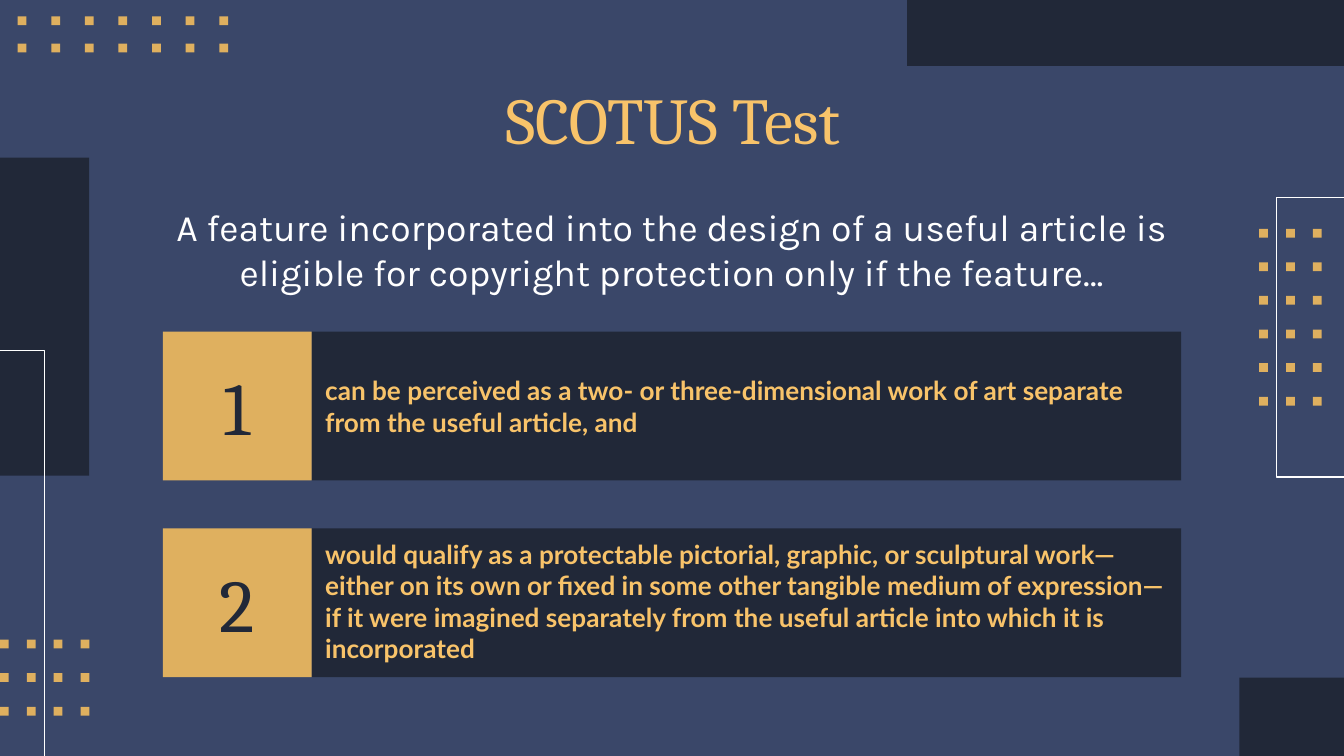
from itertools import product

from pptx import Presentation
from pptx.dml.color import RGBColor
from pptx.enum.shapes import MSO_SHAPE
from pptx.enum.text import MSO_ANCHOR, MSO_AUTO_SIZE, PP_ALIGN
from pptx.oxml import parse_xml
from pptx.oxml.ns import nsdecls
from pptx.util import Pt

BLUE = RGBColor(0x3A, 0x47, 0x69)
NAVY = RGBColor(0x21, 0x28, 0x38)
GOLD = RGBColor(0xDF, 0xB0, 0x5F)
YELLOW = RGBColor(0xF8, 0xC3, 0x6A)
WHITE = RGBColor(0xFF, 0xFF, 0xFF)

TITLE_FORMAT = {"name": "Cambria", "size": Pt(35), "bold": False}
NUMBER_FORMAT = {"name": "Cambria", "size": Pt(40), "bold": False}
CONDITION_FORMAT = {"name": "Lato", "size": Pt(14), "bold": True}
INTRO_FORMAT = {"name": "Karla", "size": Pt(20), "bold": False}


def add_rectangle(left, top, width, height, color):
    shape = slide.shapes.add_shape(
        MSO_SHAPE.RECTANGLE, Pt(left), Pt(top), Pt(width), Pt(height))
    shape.shadow.inherit = False
    shape.fill.solid()
    shape.fill.fore_color.rgb = color
    shape.line.fill.background()
    return shape


def write_text(shape, text, font_format, color, alignment, anchor, inset=7.2):
    frame = shape.text_frame
    frame.text = text
    frame.word_wrap = True
    frame.auto_size = MSO_AUTO_SIZE.NONE
    frame.vertical_anchor = anchor
    frame.margin_left = frame.margin_right = Pt(7.2)
    frame.margin_top = frame.margin_bottom = Pt(inset)
    paragraph = frame.paragraphs[0]
    paragraph.alignment = alignment
    paragraph.space_before = Pt(0)
    for name, value in font_format.items():
        setattr(paragraph.runs[0].font, name, value)
    paragraph.runs[0].font.color.rgb = color
    return paragraph


presentation = Presentation()
presentation.slide_width, presentation.slide_height = Pt(720), Pt(405)
slide = presentation.slides.add_slide(presentation.slide_layouts[3])
slide.background.fill.solid()
slide.background.fill.fore_color.rgb = BLUE

# Dark corner and side blocks
for block in [(664, 363, 56, 42), (486, 0, 234, 35.3), (0, 84.5, 47.7, 170.3)]:
    add_rectangle(*block, NAVY)

# Thin open frames at both edges
for start, *corners in [
    [(720, 105.7), (683.8, 105.7), (683.8, 255.5), (720, 255.5)],
    [(23.8, 405), (23.8, 187.7), (0, 187.7)],
]:
    builder = slide.shapes.build_freeform(Pt(start[0]), Pt(start[1]))
    builder.add_line_segments([(Pt(x), Pt(y)) for x, y in corners], close=False)
    frame_line = builder.convert_to_shape()
    frame_line.shadow.inherit = False
    frame_line.fill.background()
    frame_line.line.color.rgb = WHITE
    frame_line.line.width = Pt(0.75)

# Dot grids: left, top, columns, rows, column step, row step
for left, top, columns, rows, step_x, step_y in [
    (674.6, 122.6, 3, 6, 14.4, 18),
    (9.5, 8.8, 7, 2, 18, 14.6),
    (0, 342.7, 4, 3, 14.4, 18),
]:
    for column, row in product(range(columns), range(rows)):
        add_rectangle(left + column * step_x, top + row * step_y, 4.7, 4.7, GOLD)

# Title
title, *conditions = slide.placeholders
title.left, title.top, title.width, title.height = Pt(56.9), Pt(35.3), Pt(607), Pt(45.4)
write_text(title, "SCOTUS Test", TITLE_FORMAT, YELLOW, PP_ALIGN.CENTER, MSO_ANCHOR.TOP)

# Introduction
intro = slide.shapes.add_textbox(Pt(87.3), Pt(106), Pt(545.6), Pt(55.4))
write_text(
    intro,
    "A feature incorporated into the design of a useful article is eligible "
    "for copyright protection only if the feature…",
    INTRO_FORMAT, WHITE, PP_ALIGN.CENTER, MSO_ANCHOR.TOP, inset=3.6)

# Numbered conditions
texts = [
    "can be perceived as a two- or three-dimensional work of art separate "
    "from the useful article, and",
    "would qualify as a protectable pictorial, graphic, or sculptural work—either "
    "on its own or fixed in some other tangible medium of expression—if it were "
    "imagined separately from the useful article into which it is incorporated",
]
anchors = [MSO_ANCHOR.MIDDLE, MSO_ANCHOR.BOTTOM]
for index, (condition, text, anchor) in enumerate(zip(conditions, texts, anchors)):
    top = 177.7 + index * 105.4
    number = add_rectangle(87.3, top, 79.7, 79.7, GOLD)
    write_text(number, str(index + 1), NUMBER_FORMAT, NAVY,
               PP_ALIGN.CENTER, MSO_ANCHOR.MIDDLE)

    condition.left, condition.top = Pt(167), Pt(top)
    condition.width, condition.height = Pt(465.8), Pt(79.7)
    condition.fill.solid()
    condition.fill.fore_color.rgb = NAVY
    paragraph = write_text(condition, text, CONDITION_FORMAT, YELLOW,
                           PP_ALIGN.LEFT, anchor)
    properties = paragraph._p.get_or_add_pPr()
    properties.set("marL", "0")
    properties.set("indent", "0")
    properties.append(parse_xml(f"<a:buNone {nsdecls('a')}/>"))

# Unused placeholders
for placeholder in list(slide.placeholders):
    if not placeholder.text_frame.text:
        placeholder.element.getparent().remove(placeholder.element)

presentation.save("out.pptx")
